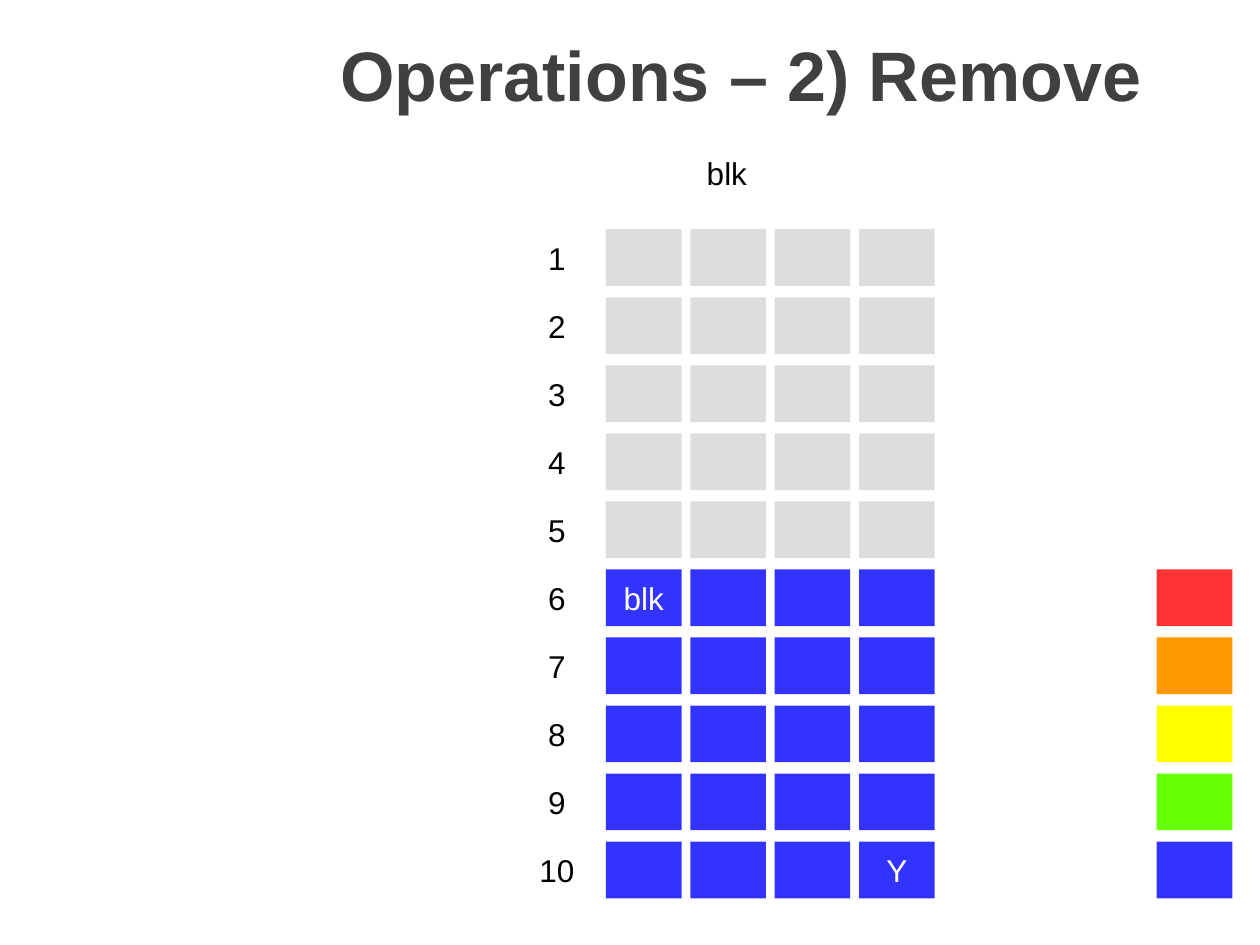
from dataclasses import dataclass

from pptx import Presentation
from pptx.dml.color import RGBColor as RGB
from pptx.enum.shapes import MSO_SHAPE as Shape
from pptx.enum.text import MSO_ANCHOR as Anchor, PP_ALIGN as Align
from pptx.util import Pt

TITLE = "Operations – 2) Remove"
OPERATION = "blk"
ROWS, COLUMNS = 10, 4
FIRST_FILLED_ROW = 6
CELL_TEXT = {(6, 1): "blk", (10, 4): "Y"}  # (row, column), counted from 1
PALETTE = ["FF3333", "FF9900", "FFFF00", "66FF00", "3333FF"]


@dataclass(frozen=True)
class Theme:
    """Colours, font and type sizes of the slide."""
    font: str = "Arial"
    title_size: int = 40
    text_size: int = 18
    title: str = "404040"
    text: str = "000000"
    light: str = "FFFFFF"
    empty: str = "DDDDDD"
    filled: str = "3333FF"


THEME = Theme()

# Lengths in points
CELL_WIDTH, CELL_HEIGHT = 43.2, 32.4
COLUMN_STEP, ROW_STEP = 48.2, 38.88
GRID_LEFT, GRID_TOP = 346.3, 131
NUMBERS_LEFT, PALETTE_LEFT = 296.6, 661


def write(holder, text, color, size=THEME.text_size, bold=False):
    """Put one centred line of text into a shape or text box."""
    frame = holder.text_frame
    frame.word_wrap = True
    frame.vertical_anchor = Anchor.MIDDLE
    line = frame.paragraphs[0]
    line.text = text
    line.alignment = Align.CENTER
    line.font.name = THEME.font
    line.font.size = Pt(size)
    line.font.bold = bold
    line.font.color.rgb = RGB.from_string(color)


def add_block(left, top, fill, text="", color=THEME.text, width=CELL_WIDTH):
    """Draw a flat rectangle, with text if there is any."""
    block = slide.shapes.add_shape(
        Shape.RECTANGLE, Pt(left), Pt(top), Pt(width), Pt(CELL_HEIGHT))
    block.shadow.inherit = False
    block.fill.solid()
    block.fill.fore_color.rgb = RGB.from_string(fill)
    block.line.fill.background()
    if text:
        write(block, text, color)


def row_top(row):
    """Return the top of a row, counted from 1."""
    return GRID_TOP + (row - 1) * ROW_STEP


deck = Presentation()
deck.slide_width, deck.slide_height = Pt(720), Pt(540)
slide = deck.slides.add_slide(deck.slide_layouts[6])

title = slide.shapes.add_textbox(Pt(127.4), Pt(0), Pt(592), Pt(83.5))
write(title, TITLE, THEME.title, THEME.title_size, bold=True)

add_block(253.4, 82.8, THEME.light, OPERATION, width=324)

for row in range(1, ROWS + 1):
    add_block(NUMBERS_LEFT, row_top(row), THEME.light, str(row))
    fill = THEME.filled if row >= FIRST_FILLED_ROW else THEME.empty
    for column in range(1, COLUMNS + 1):
        add_block(GRID_LEFT + (column - 1) * COLUMN_STEP, row_top(row), fill,
                  CELL_TEXT.get((row, column), ""), THEME.light)

for row, swatch in enumerate(PALETTE, start=FIRST_FILLED_ROW):
    add_block(PALETTE_LEFT, row_top(row), swatch)

deck.save("out.pptx")
